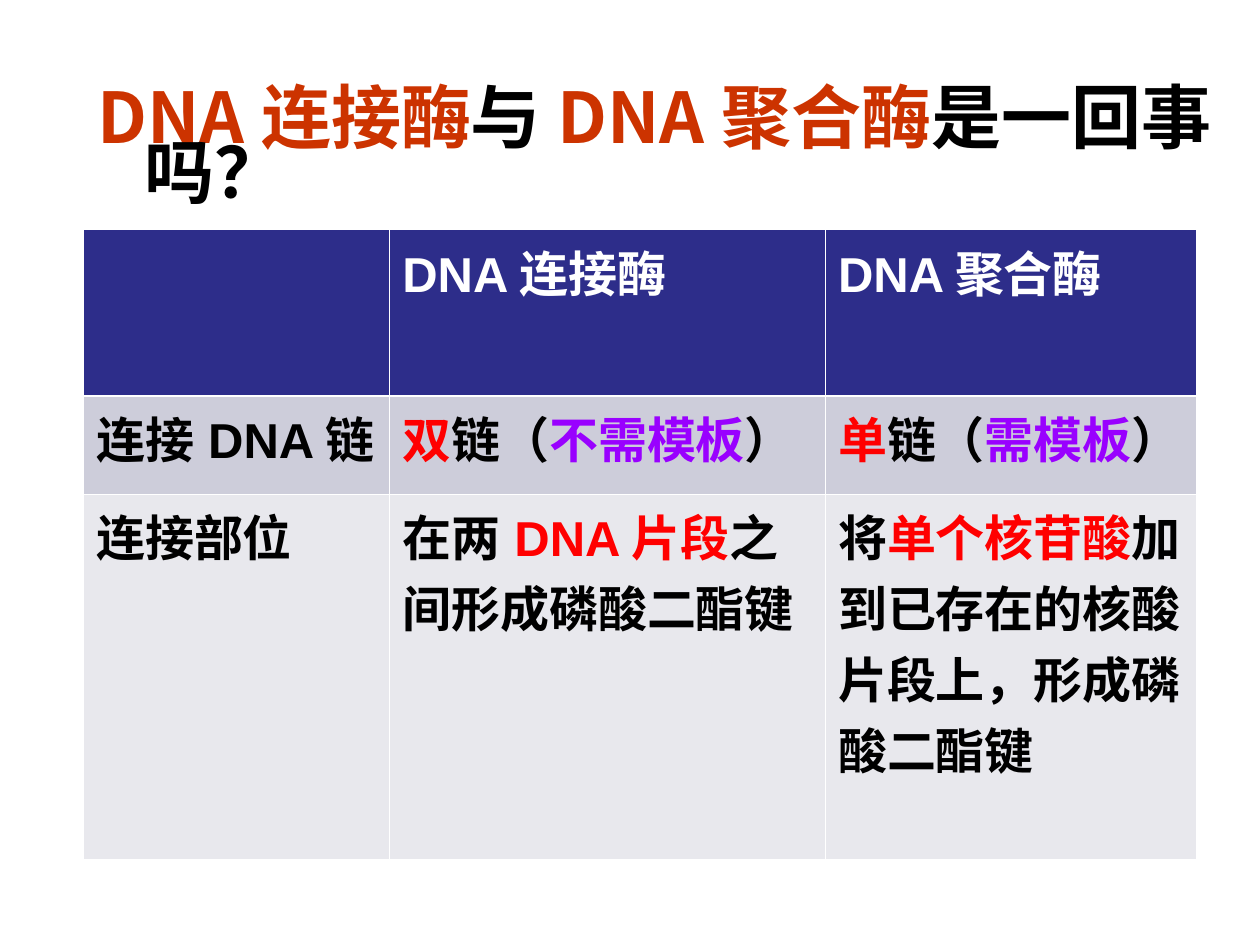
import pptx
import pptx.util
import pptx.dml.color
import pptx.oxml
import pptx.oxml.ns

Pt = pptx.util.Pt
COLORS = {
    "title": "CC3300", "black": "000000", "white": "FFFFFF", "red": "FF0000",
    "purple": "9900FF", "header": "2D2D8A", "band": "CDCDDA", "pale": "E8E8ED",
}
CJK = "Noto Sans CJK SC"


def rgb(name):
    return pptx.dml.color.RGBColor.from_string(COLORS[name])


class SlideBuilder:
    def __init__(self, slide):
        self.slide = slide

    def add_runs(self, p, parts, size, font):
        """Add (text, colour) runs to a paragraph."""
        for text, color in parts:
            r = p.add_run()
            r.text = text
            r.font.size = Pt(size)
            r.font.bold = True
            r.font.name = font
            r.font.color.rgb = rgb(color)
            ea = pptx.oxml.parse_xml(
                f'<a:ea {pptx.oxml.ns.nsdecls("a")} typeface="{CJK}"/>')
            r._r.get_or_add_rPr().append(ea)

    def title(self, parts, left, top, width, height):
        sp = self.slide.shapes.add_textbox(Pt(left), Pt(top), Pt(width), Pt(height))
        tf = sp.text_frame
        tf.word_wrap = True
        p = tf.paragraphs[0]
        p.line_spacing = 0.66
        # Hanging indent for the wrapped line
        pPr = p._p.get_or_add_pPr()
        pPr.set("marL", str(Pt(27)))
        pPr.set("indent", str(-Pt(27)))
        self.add_runs(p, parts, 40, CJK)

    def border(self, cell, side, width):
        cell._tc.get_or_add_tcPr().append(pptx.oxml.parse_xml(
            f'<a:{side} {pptx.oxml.ns.nsdecls("a")} w="{Pt(width)}"><a:solidFill>'
            f'<a:srgbClr val="{COLORS["white"]}"/></a:solidFill></a:{side}>'))

    def table(self, rows, fills, left, top, widths, heights):
        table = self.slide.shapes.add_table(
            len(heights), len(widths), Pt(left), Pt(top),
            Pt(sum(widths)), Pt(sum(heights))).table
        for column, width in zip(table.columns, widths):
            column.width = Pt(width)
        for i, (row, height) in enumerate(zip(rows, heights)):
            table.rows[i].height = Pt(height)
            for j, parts in enumerate(row):
                cell = table.cell(i, j)
                # Thicker rule between the header and the body
                for side in ("lnL", "lnR", "lnT", "lnB"):
                    thick = (i, side) in ((0, "lnB"), (1, "lnT"))
                    self.border(cell, side, 1.47 if thick else 0.45)
                cell.fill.solid()
                cell.fill.fore_color.rgb = rgb(fills[i])
                self.add_runs(cell.text_frame.paragraphs[0], parts, 28, "Arial")


def main():
    prs = pptx.Presentation()
    prs.slide_width, prs.slide_height = Pt(720), Pt(540)
    s = SlideBuilder(prs.slides.add_slide(prs.slide_layouts[6]))

    # Question
    s.title([("DNA连接酶", "title"), ("与", "black"),
             ("DNA聚合酶", "title"), ("是一回事吗？", "black")],
            48.5, 53, 671.5, 53)

    # Comparison of the two enzymes
    rows = [
        [[], [("DNA连接酶", "white")], [("DNA聚合酶", "white")]],
        [[("连接DNA链", "black")],
         [("双", "red"), ("链（", "black"), ("不需模板", "purple"), ("）", "black")],
         [("单", "red"), ("链（", "black"), ("需模板", "purple"), ("）", "black")]],
        [[("连接部位", "black")],
         [("在两", "black"), ("DNA片段", "red"), ("之间形成磷酸二酯键", "black")],
         [("将", "black"), ("单个核苷酸", "red"),
          ("加到已存在的核酸片段上，形成磷酸二酯键", "black")]],
    ]
    s.table(rows, ["header", "band", "pale"], 47.75, 131.25,
            [175, 249, 212], [95, 56, 209])

    prs.save("out.pptx")


if __name__ == "__main__":
    main()
